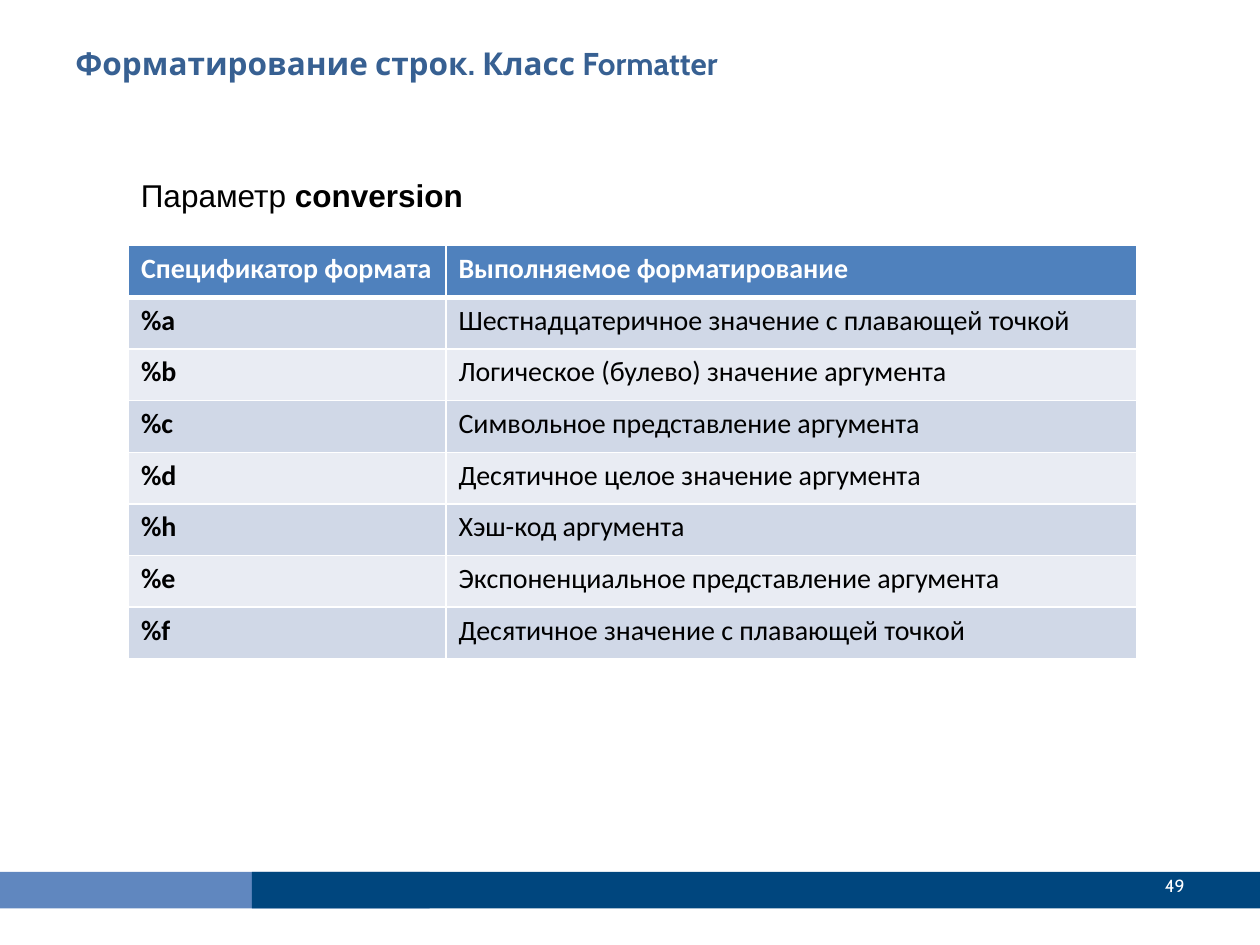
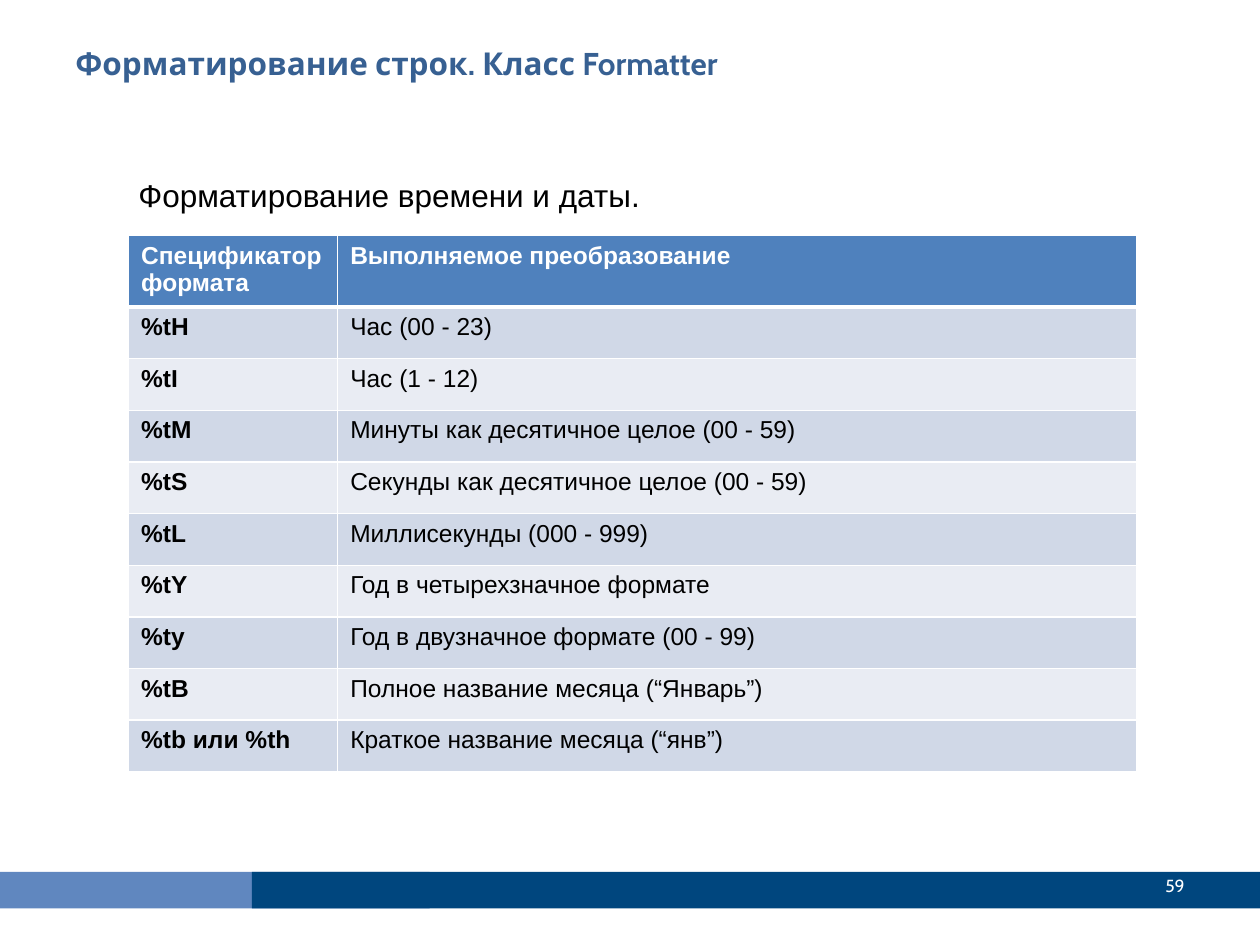
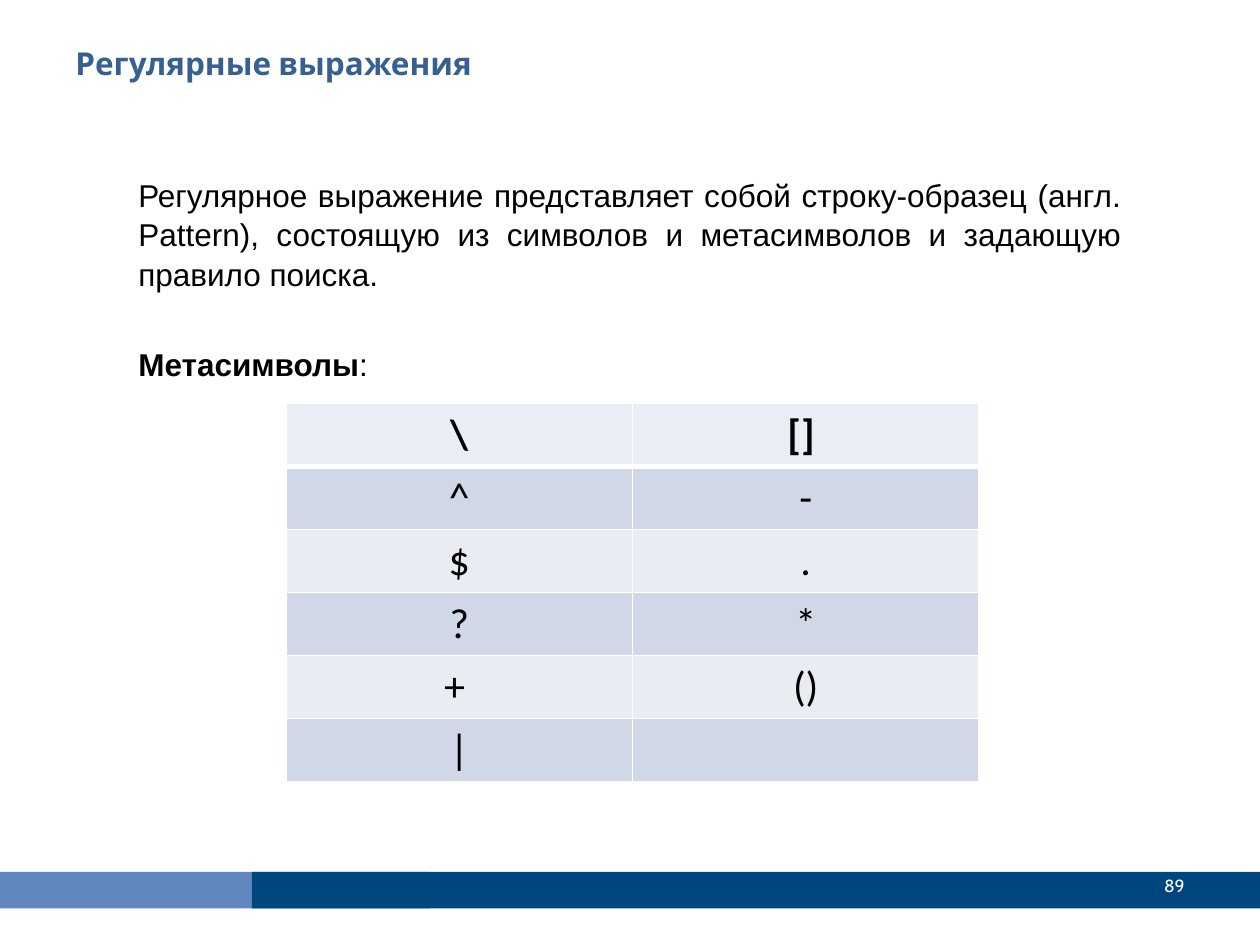
from dataclasses import dataclass

import pptx
import pptx.dml.color
import pptx.enum.shapes
import pptx.enum.text
import pptx.oxml
import pptx.oxml.ns
import pptx.presentation
import pptx.slide
import pptx.table
import pptx.text.text
import pptx.util

Inches = pptx.util.Inches
Pt = pptx.util.Pt
RGBColor = pptx.dml.color.RGBColor
Align = pptx.enum.text.PP_ALIGN
Anchor = pptx.enum.text.MSO_ANCHOR

WHITE = RGBColor(0xFF, 0xFF, 0xFF)
BLACK = RGBColor(0x00, 0x00, 0x00)
TITLE_BLUE = RGBColor(0x37, 0x60, 0x92)
BAND_LIGHT = RGBColor(0x60, 0x87, 0xBF)
BAND_DARK = RGBColor(0x00, 0x46, 0x7E)
HEADER_BLUE = RGBColor(0x4F, 0x81, 0xBD)
HEADER_PALE = RGBColor(0xE9, 0xED, 0xF4)
ROW_FILLS = (RGBColor(0xD0, 0xD8, 0xE7), RGBColor(0xE9, 0xEC, 0xF3))

THIN_BORDER = 0.96
HEADER_BORDER = 3


@dataclass(frozen=True)
class Span:
    text: str
    bold: bool = False


@dataclass(frozen=True)
class Paragraph:
    spans: tuple[Span, ...]
    space_before: float = 0


@dataclass(frozen=True)
class Grid:
    left: float
    top: float
    column_widths: tuple[float, float]
    row_height: float
    rows: tuple[tuple[str, str], ...]
    font: str
    size: int
    header_height: float
    header_fill: RGBColor = HEADER_BLUE
    header_color: RGBColor = WHITE
    bold_first_column: bool = True
    align: Align = Align.LEFT


@dataclass(frozen=True)
class Page:
    title: str
    number: int
    body: tuple[Paragraph, ...]
    body_left: float
    body_align: Align
    grid: Grid


def write(para: pptx.text.text._Paragraph, text: str, *, font: str, size: float,
          color: RGBColor, bold: bool = False, align: Align = Align.LEFT) -> None:
    para.alignment = align
    span = para.add_run()
    span.text = text
    span.font.name = font
    span.font.size = Pt(size)
    span.font.bold = bold
    span.font.color.rgb = color


def add_frame(slide: pptx.slide.Slide, left: float, top: float, width: float,
              height: float, anchor: Anchor = Anchor.TOP) -> pptx.text.text.TextFrame:
    box = slide.shapes.add_textbox(Inches(left), Inches(top), Inches(width), Inches(height))
    box.text_frame.word_wrap = True
    box.text_frame.vertical_anchor = anchor
    return box.text_frame


def add_band(slide: pptx.slide.Slide, left: float, width: float, color: RGBColor) -> None:
    band = slide.shapes.add_shape(pptx.enum.shapes.MSO_SHAPE.RECTANGLE,
                                  Inches(left), Inches(6.92), Inches(width), Inches(0.29))
    band.shadow.inherit = False
    band.fill.solid()
    band.fill.fore_color.rgb = color
    band.line.fill.background()


def add_body(slide: pptx.slide.Slide, page: Page) -> None:
    frame = add_frame(slide, page.body_left, 1.33, 8, 5.25)
    for index, paragraph in enumerate(page.body):
        para = frame.add_paragraph() if index else frame.paragraphs[0]
        para.line_spacing = 1.05
        if paragraph.space_before:
            para.space_before = Pt(paragraph.space_before)
        for span in paragraph.spans:
            write(para, span.text, font="Arial", size=18, color=BLACK,
                  bold=span.bold, align=page.body_align)


def set_borders(cell: pptx.table._Cell, top: float, bottom: float) -> None:
    """Add white borders; must run before the cell gets its fill."""
    properties = cell._tc.get_or_add_tcPr()
    widths = {"L": THIN_BORDER, "R": THIN_BORDER, "T": top, "B": bottom}
    for side, width in widths.items():
        properties.append(pptx.oxml.parse_xml(
            f'<a:ln{side} {pptx.oxml.ns.nsdecls("a")} w="{Pt(width)}">'
            f'<a:solidFill><a:srgbClr val="{WHITE}"/></a:solidFill></a:ln{side}>'))


def add_grid(slide: pptx.slide.Slide, grid: Grid) -> None:
    row_count = len(grid.rows)
    height = grid.header_height + grid.row_height * (row_count - 1)
    table = slide.shapes.add_table(
        row_count, len(grid.column_widths), Inches(grid.left), Inches(grid.top),
        Inches(sum(grid.column_widths)), Inches(height)).table
    for column, width in zip(table.columns, grid.column_widths):
        column.width = Inches(width)
    for row_index, texts in enumerate(grid.rows):
        is_header = row_index == 0
        table.rows[row_index].height = Inches(
            grid.header_height if is_header else grid.row_height)
        for column_index, text in enumerate(texts):
            cell = table.cell(row_index, column_index)
            set_borders(cell,
                        top=HEADER_BORDER if row_index == 1 else THIN_BORDER,
                        bottom=HEADER_BORDER if is_header else THIN_BORDER)
            cell.fill.solid()
            cell.fill.fore_color.rgb = (
                grid.header_fill if is_header else ROW_FILLS[(row_index - 1) % 2])
            if text:
                write(cell.text_frame.paragraphs[0], text, font=grid.font, size=grid.size,
                      color=grid.header_color if is_header else BLACK,
                      bold=is_header or (grid.bold_first_column and column_index == 0),
                      align=grid.align)


def add_page(deck: pptx.presentation.Presentation, page: Page) -> None:
    slide = deck.slides.add_slide(deck.slide_layouts[6])
    add_band(slide, -0.02, 3.43, BAND_LIGHT)
    add_band(slide, 2, 8, BAND_DARK)
    title = add_frame(slide, 0.5, 0.3, 9, 0.78)
    write(title.paragraphs[0], page.title, font="Cabin", size=18, color=TITLE_BLUE, bold=True)
    add_body(slide, page)
    number = add_frame(slide, 8.42, 6.83, 1.08, 0.4, Anchor.MIDDLE)
    write(number.paragraphs[0], str(page.number), font="Cabin", size=10, color=WHITE,
          align=Align.RIGHT)
    add_grid(slide, page.grid)


FORMATTER_TITLE = "Форматирование строк. Класс Formatter"

CONVERSIONS = Grid(
    left=1.02, top=1.95, column_widths=(2.52, 5.48), row_height=0.41, header_height=0.41,
    font="Calibri", size=16,
    rows=(
        ("Спецификатор формата", "Выполняемое форматирование"),
        ("%a", "Шестнадцатеричное значение с плавающей точкой"),
        ("%b", "Логическое (булево) значение аргумента"),
        ("%c", "Символьное представление аргумента"),
        ("%d", "Десятичное целое значение аргумента"),
        ("%h", "Хэш-код аргумента"),
        ("%e", "Экспоненциальное представление аргумента"),
        ("%f", "Десятичное значение с плавающей точкой"),
    ))

DATE_FORMATS = Grid(
    left=1.02, top=1.87, column_widths=(1.66, 6.34), row_height=0.41, header_height=0.54,
    font="Arial", size=14,
    rows=(
        ("Спецификатор формата", "Выполняемое преобразование"),
        ("%tH", "Час (00 - 23)"),
        ("%tI", "Час (1 - 12)"),
        ("%tM", "Минуты как десятичное целое (00 - 59)"),
        ("%tS", "Секунды как десятичное целое (00 - 59)"),
        ("%tL", "Миллисекунды (000 - 999)"),
        ("%tY", "Год в четырехзначное формате"),
        ("%ty", "Год в двузначное формате (00 - 99)"),
        ("%tB", "Полное название месяца (“Январь”)"),
        ("%tb или %th", "Краткое название месяца (“янв”)"),
    ))

METACHARACTERS = Grid(
    left=2.27, top=3.2, column_widths=(2.75, 2.75), row_height=0.43, header_height=0.43,
    font="Calibri", size=24, header_fill=HEADER_PALE, header_color=BLACK,
    bold_first_column=False, align=Align.CENTER,
    rows=(("\\", "[] "), ("^", "-"), ("$", "."), ("?", "*"), ("+ ", "()"), ("|", "")))

PAGES = (
    Page(FORMATTER_TITLE, 49,
         (Paragraph((Span("Параметр "), Span("conversion", bold=True))),),
         1.02, Align.LEFT, CONVERSIONS),
    Page(FORMATTER_TITLE, 59,
         (Paragraph((Span("Форматирование времени и даты."),)),),
         1, Align.LEFT, DATE_FORMATS),
    Page("Регулярные выражения", 89,
         (Paragraph((Span("Регулярное выражение представляет собой строку-образец "
                          "(англ. Pattern), состоящую из символов и метасимволов "
                          "и задающую правило поиска."),)),
          Paragraph((Span("Метасимволы", bold=True), Span(":")), space_before=29)),
         1, Align.JUSTIFY, METACHARACTERS),
)


def main() -> None:
    deck = pptx.Presentation()
    deck.slide_width = Inches(10)
    deck.slide_height = Inches(7.5)
    for page in PAGES:
        add_page(deck, page)
    deck.save("out.pptx")


if __name__ == "__main__":
    main()
